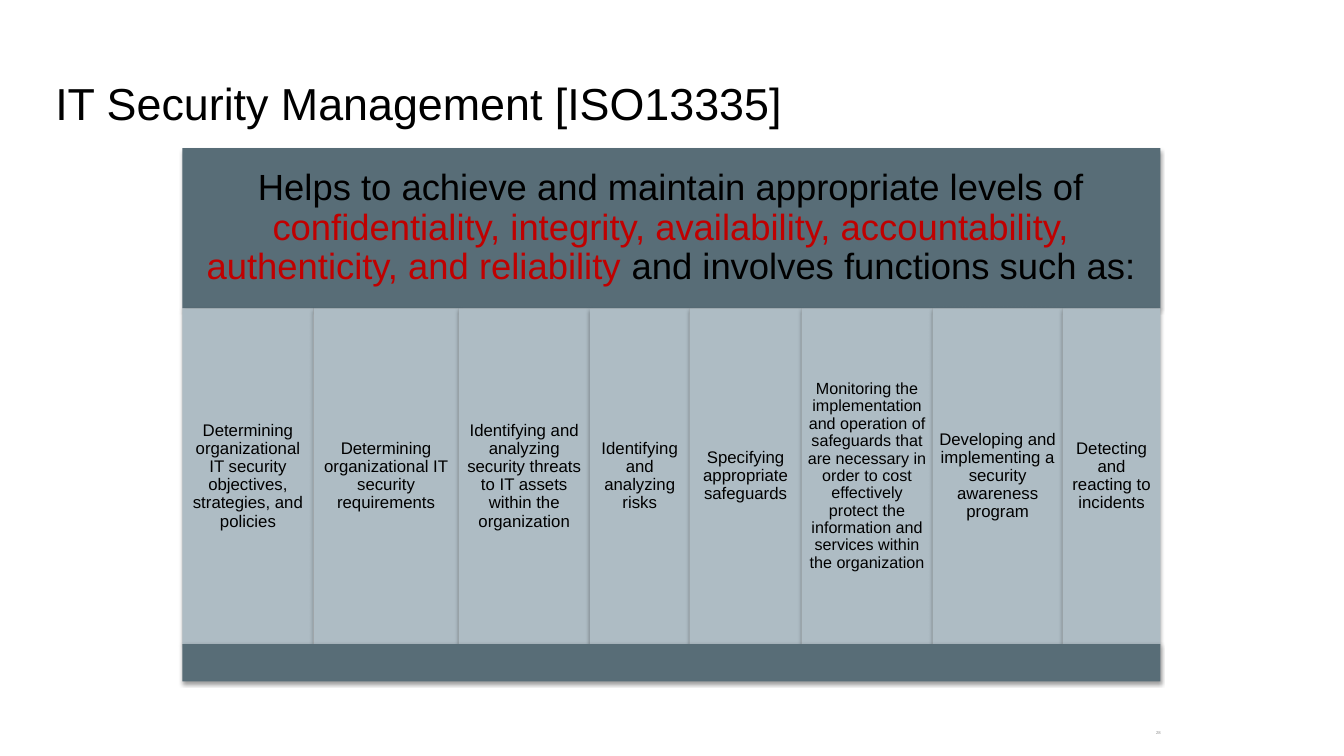
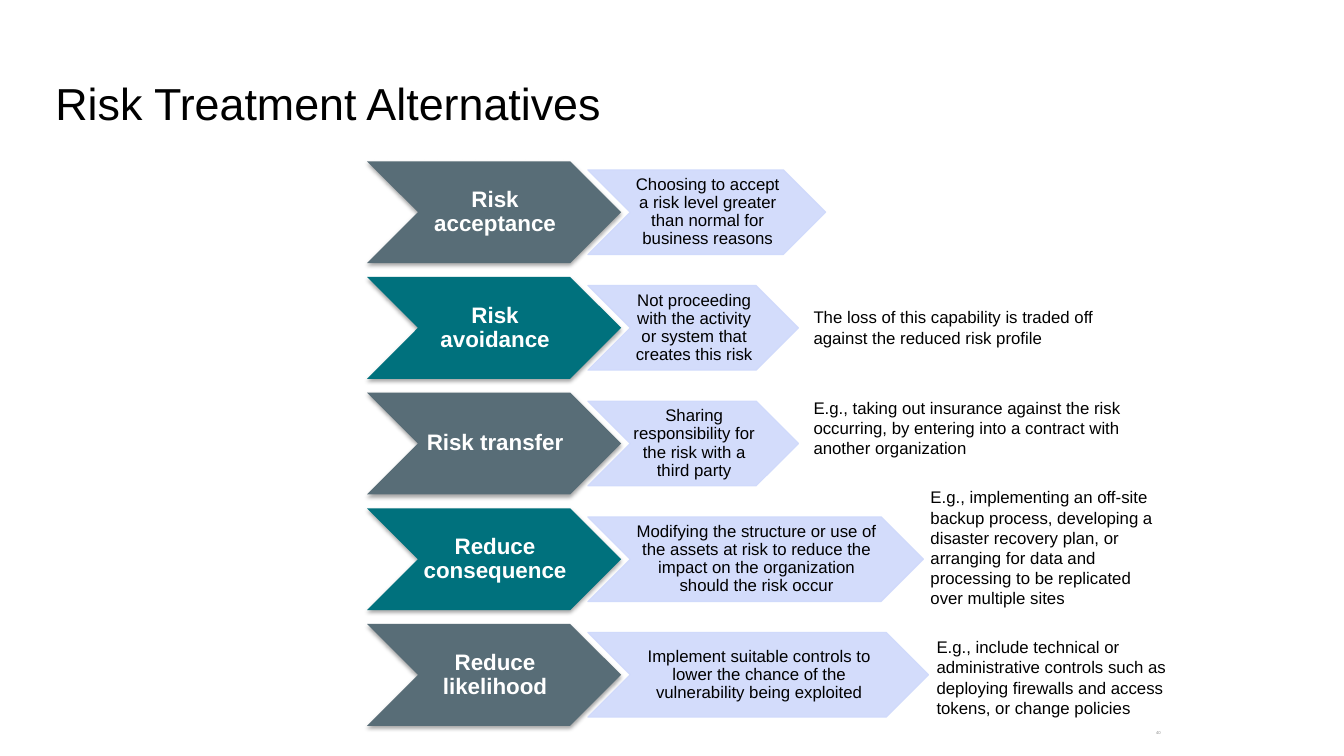
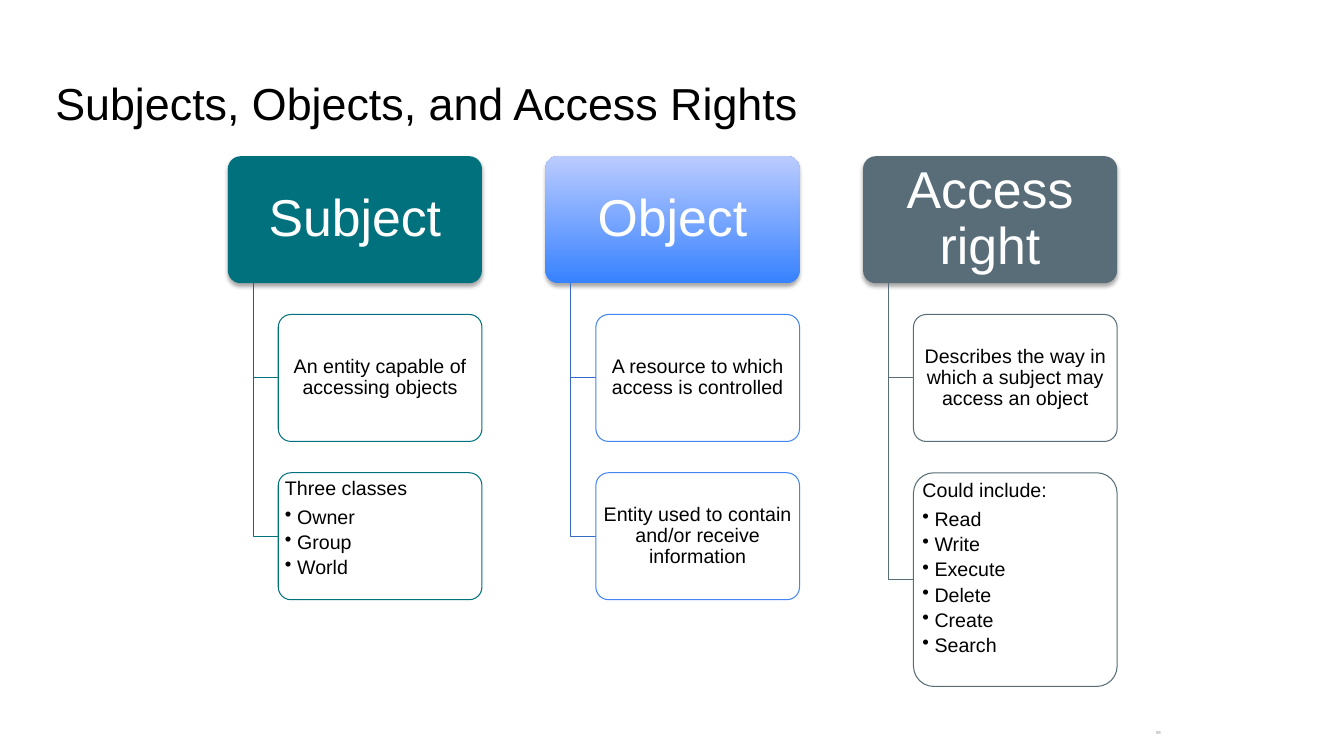
from itertools import accumulate, cycle

from lxml import etree
from pptx import Presentation
from pptx.dml.color import RGBColor
from pptx.enum.shapes import MSO_SHAPE
from pptx.enum.text import MSO_ANCHOR, PP_ALIGN
from pptx.oxml.ns import qn
from pptx.util import Inches, Pt

RECT = MSO_SHAPE.RECTANGLE
CHEVRON = MSO_SHAPE.CHEVRON
ROUNDED = MSO_SHAPE.ROUNDED_RECTANGLE
TOP, MIDDLE = MSO_ANCHOR.TOP, MSO_ANCHOR.MIDDLE
LEFT, CENTER, RIGHT = PP_ALIGN.LEFT, PP_ALIGN.CENTER, PP_ALIGN.RIGHT

FONT = "Arial"
BLACK, WHITE, RED, GRAY = "000000", "FFFFFF", "C00000", "8C8C8C"
SLATE, TEAL, MIST, LAVENDER = "586D77", "00717D", "AEBCC4", "CFD9FB"
BLUE, BLUE_LINE = "4285F4", "356BC3"
BLUE_GRADIENT = ("3782FF", "BBCBFF")

FUNCTIONS = [
    (1.3, "Determining organizational IT security objectives, strategies, and policies", 12),
    (1.44, "Determining organizational IT security requirements", 12),
    (1.3, "Identifying and analyzing security threats to IT assets within the organization", 12),
    (0.99, "Identifying and analyzing risks", 12),
    (1.11, "Specifying appropriate safeguards", 12),
    (1.3, "Monitoring the implementation and operation of safeguards that are necessary "
          "in order to cost effectively protect the information and services within the "
          "organization", 11.5),
    (1.29, "Developing and implementing a security awareness program", 12),
    (0.97, "Detecting and reacting to incidents", 12),
]

TREATMENTS = [
    ("Risk acceptance", 2.36,
     "Choosing to accept a risk level greater than normal for business reasons", None),
    ("Risk avoidance", 2.09,
     "Not proceeding with the activity or system that creates this risk",
     ("The loss of this capability is traded off against the reduced risk profile",
      4.33, 0.25, 3.28, 0.5)),
    ("Risk transfer", 2.09,
     "Sharing responsibility for the risk with a third party",
     ("E.g., taking out insurance against the risk occurring, by entering into a "
      "contract with another organization", 4.33, 0, 3.28, 0.71)),
    ("Reduce consequence", 3.33,
     "Modifying the structure or use of the assets at risk to reduce the impact on the "
     "organization should the risk occur",
     ("E.g., implementing an off-site backup process, developing a disaster recovery "
      "plan, or arranging for data and processing to be replicated over multiple sites",
      5.49, -0.26, 2.48, 1.31)),
    ("Reduce likelihood", 3.38,
     "Implement suitable controls to lower the chance of the vulnerability being exploited",
     ("E.g., include technical or administrative controls such as deploying firewalls "
      "and access tokens, or change policies", 5.55, 0.08, 2.48, 0.91)),
]

ACCESS_COLUMNS = [
    ("Subject", TEAL, TEAL, TEAL, [
        (1.26, "An entity capable of accessing objects", []),
        (1.26, "Three classes", ["Owner", "Group", "World"])]),
    ("Object", BLUE_GRADIENT, BLUE, BLUE_LINE, [
        (1.26, "A resource to which access is controlled", []),
        (1.26, "Entity used to contain and/or receive information", [])]),
    ("Access right", SLATE, SLATE, SLATE, [
        (1.26, "Describes the way in which a subject may access an object", []),
        (2.12, "Could include:",
         ["Read", "Write", "Execute", "Delete", "Create", "Search"])]),
]


def rgb(value):
    """Turn a hex string into a colour."""
    return RGBColor.from_string(value)


def add_para(frame, runs, size, align=LEFT, spacing=1, bold=False, bullet=False):
    """Write one paragraph of (text, colour) runs into a frame."""
    first = frame.paragraphs[0]
    para = frame.add_paragraph() if first.runs else first
    para.alignment = align
    para.line_spacing = spacing
    if bullet:
        props = para._p.get_or_add_pPr()
        props.set("marL", str(Inches(0.12)))
        props.set("indent", str(-Inches(0.12)))
        etree.SubElement(props, qn("a:buChar")).set("char", "•")
    for text, color in runs:
        span = para.add_run()
        span.text = text
        span.font.name = FONT
        span.font.size = Pt(size)
        span.font.bold = bold
        span.font.color.rgb = rgb(color)
    return para


def prepare_frame(shape, anchor, insets):
    """Set wrapping, anchor and insets, and return the text frame."""
    frame = shape.text_frame
    frame.word_wrap = True
    frame.vertical_anchor = anchor
    (frame.margin_left, frame.margin_top,
     frame.margin_right, frame.margin_bottom) = [Inches(inset) for inset in insets]
    return frame


def add_label(page, box, text, size, color=BLACK, align=LEFT, anchor=TOP,
              spacing=1, insets=(0.1, 0.05, 0.1, 0.05)):
    """Place a plain text box."""
    label = page.shapes.add_textbox(*[Inches(length) for length in box])
    frame = prepare_frame(label, anchor, insets)
    add_para(frame, [(text, color)], size, align, spacing)


def add_block(page, kind, box, fill):
    """Place a filled shape without line or shadow."""
    block = page.shapes.add_shape(kind, *[Inches(length) for length in box])
    block.shadow.inherit = False
    block.line.fill.background()
    if isinstance(fill, tuple):
        block.fill.gradient()
        block.fill.gradient_angle = 90
        for stop, color in zip(block.fill.gradient_stops, fill):
            stop.color.rgb = rgb(color)
    else:
        block.fill.solid()
        block.fill.fore_color.rgb = rgb(fill)
    return block


def outline(shape, color):
    """Give a shape a thin line."""
    shape.line.color.rgb = rgb(color)
    shape.line.width = Pt(0.75)


def make_translucent(shape):
    """Set every colour the shape has so far to 90 % opacity."""
    for color in shape._element.spPr.iter(qn("a:srgbClr")):
        etree.SubElement(color, qn("a:alpha")).set("val", "90000")


def cast_shadow(shape, opacity=35, distance=1.8):
    """Add a soft shadow below a shape."""
    effects = shape._element.spPr.find(qn("a:effectLst"))
    shadow = etree.SubElement(effects, qn("a:outerShdw"), {
        "blurRad": str(Pt(3.1)), "dist": str(Pt(distance)),
        "dir": "5400000", "rotWithShape": "0"})
    color = etree.SubElement(shadow, qn("a:srgbClr"), {"val": BLACK})
    etree.SubElement(color, qn("a:alpha")).set("val", str(opacity * 1000))


def fill_text(shape, runs, size, insets, bold=False):
    """Write centred text into a shape."""
    frame = prepare_frame(shape, MIDDLE, insets)
    add_para(frame, runs, size, CENTER, 0.9, bold)


def add_page(deck, title, number):
    """Add a page with its title and page number."""
    page = deck.slides.add_slide(deck.slide_layouts[6])
    add_label(page, (0.45, 0.65, 12.42, 0.84), title, 32, insets=(0.1,) * 4)
    add_label(page, (10.93, 7.2, 0.68, 0.15), number, 3, GRAY, RIGHT, MIDDLE, 0.8)
    return page


def draw_functions(page, left, top, width, height):
    """Draw the heading band, the row of functions and the base band."""
    head_height, base_height = 1.59, 0.37
    row_height = height - head_height - base_height
    head = add_block(page, RECT, (left, top, width, head_height), SLATE)
    cast_shadow(head, 38, 1.6)
    fill_text(head, [
        ("Helps to achieve and maintain appropriate levels of ", BLACK),
        ("confidentiality, integrity, availability, accountability, authenticity, "
         "and reliability ", RED),
        ("and involves functions such as:", BLACK)], 26, (0.11,) * 4)
    offsets = accumulate([item[0] for item in FUNCTIONS], initial=0)
    for offset, (cell_width, text, size) in zip(offsets, FUNCTIONS):
        cell = add_block(page, RECT, (left + offset, top + head_height,
                                      cell_width, row_height), MIST)
        cast_shadow(cell, 38, 1.6)
        fill_text(cell, [(text, BLACK)], size, (0.05,) * 4)
    base = add_block(page, RECT, (left, top + height - base_height,
                                  width, base_height), SLATE)
    cast_shadow(base, 38, 1.6)


def draw_treatments(page, left, top, height):
    """Draw one row of chevrons with its remark for each treatment."""
    name_height, detail_height = 1.01, 0.84
    insets = (0.02, 0.01, 0, 0.01)
    pitch = (height - name_height) / (len(TREATMENTS) - 1)
    rows = zip(TREATMENTS, cycle((SLATE, TEAL)))
    for index, ((name, detail_width, text, remark), color) in enumerate(rows):
        row_top = top + index * pitch
        arrow = add_block(page, CHEVRON, (left, row_top, 2.52, name_height), color)
        cast_shadow(arrow)
        fill_text(arrow, [(name, WHITE)], 16, insets, bold=True)
        detail_top = row_top + (name_height - detail_height) / 2
        detail = add_block(page, CHEVRON, (left + 2.19, detail_top,
                                           detail_width, detail_height), LAVENDER)
        outline(detail, LAVENDER)
        make_translucent(detail)
        fill_text(detail, [(text, BLACK)], 12, insets)
        if remark:
            words, shift, drop, wide, high = remark
            add_label(page, (left + shift, row_top + drop, wide, high), words, 12)


def draw_branch(page, left, top, right, bottom, color):
    """Draw a line going down and then right."""
    builder = page.shapes.build_freeform(Inches(left), Inches(top))
    builder.add_line_segments([(Inches(left), Inches(bottom)),
                               (Inches(right), Inches(bottom))], close=False)
    branch = builder.convert_to_shape()
    branch.shadow.inherit = False
    branch.fill.background()
    outline(branch, color)


def draw_access_column(page, left, top, column):
    """Draw a heading with the boxes that hang from it."""
    name, fill, line_color, branch_color, entries = column
    width, head_height, gap, indent = 2.52, 1.26, 0.31, 0.5
    head = add_block(page, ROUNDED, (left, top, width, head_height), fill)
    head.adjustments[0] = 0.1
    cast_shadow(head)
    fill_text(head, [(name, WHITE)], 37, (0.08, 0.05, 0.08, 0.05))
    box_top = top + head_height + gap
    for height, text, bullets in entries:
        draw_branch(page, left + indent / 2, top + head_height,
                    left + indent, box_top + height / 2, branch_color)
        box = add_block(page, ROUNDED, (left + indent, box_top,
                                        width - indent, height), WHITE)
        box.adjustments[0] = 0.1
        make_translucent(box)
        outline(box, line_color)
        insets = (0.03, 0.02, 0.03, 0.02)
        if bullets:
            frame = prepare_frame(box, TOP, insets)
            add_para(frame, [(text, BLACK)], 14, LEFT, 0.9).space_after = Pt(5.6)
            for item in bullets:
                para = add_para(frame, [(item, BLACK)], 14, LEFT, 0.9, bullet=True)
                para.space_after = Pt(2.8)
        else:
            fill_text(box, [(text, BLACK)], 14, insets)
        box_top += height + gap


def main():
    """Build the three pages and save them."""
    deck = Presentation()
    deck.slide_width, deck.slide_height = Inches(13.33), Inches(7.5)
    page = add_page(deck, "IT Security Management [ISO13335]", "28")
    draw_functions(page, 1.81, 1.47, 9.7, 5.29)
    page = add_page(deck, "Risk Treatment Alternatives", "40")
    draw_treatments(page, 3.64, 1.6, 5.6)
    page = add_page(deck, "Subjects, Objects, and Access Rights", "99")
    for index, column in enumerate(ACCESS_COLUMNS):
        draw_access_column(page, 2.26 + index * 3.15, 1.55, column)
    deck.save("out.pptx")


if __name__ == "__main__":
    main()
